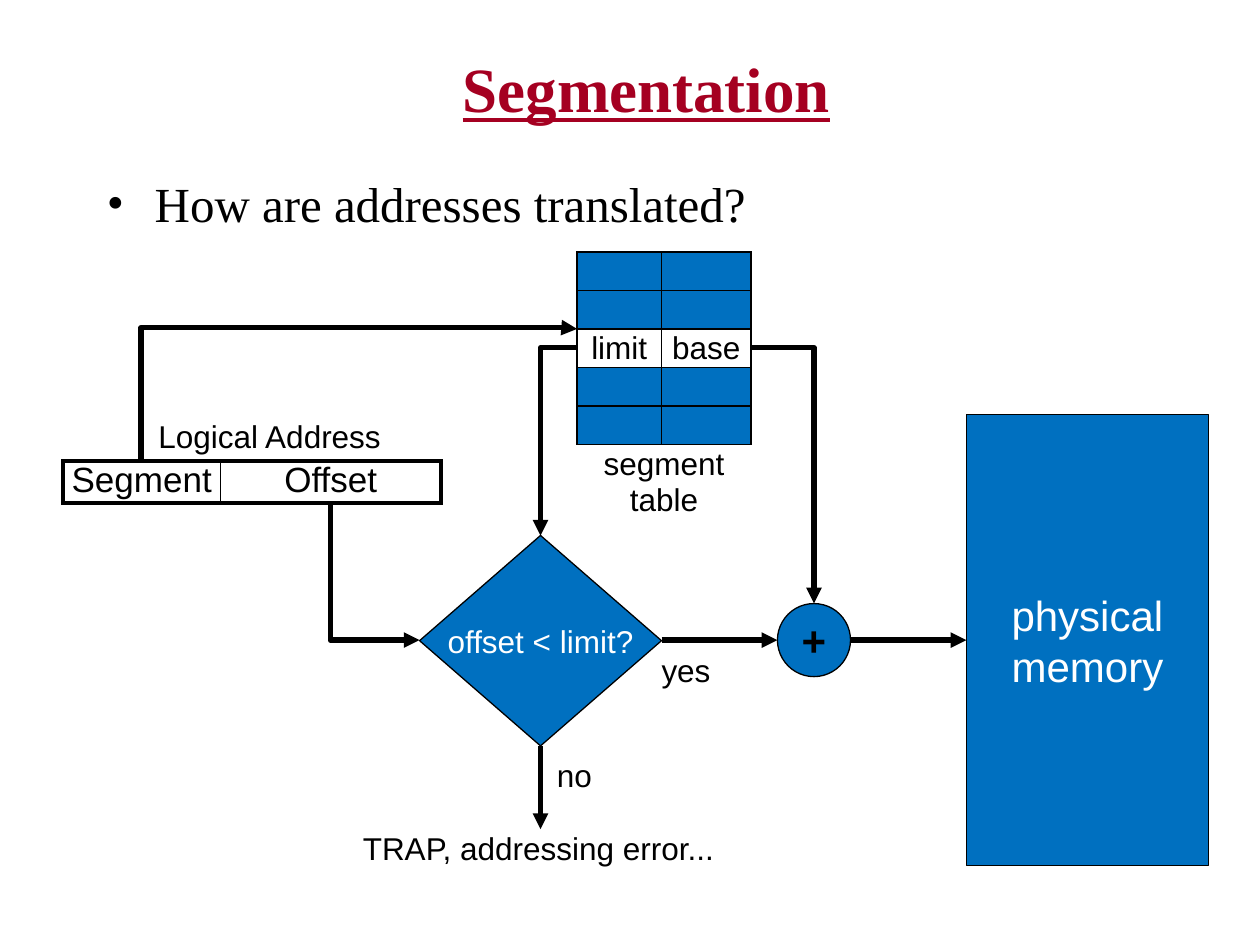
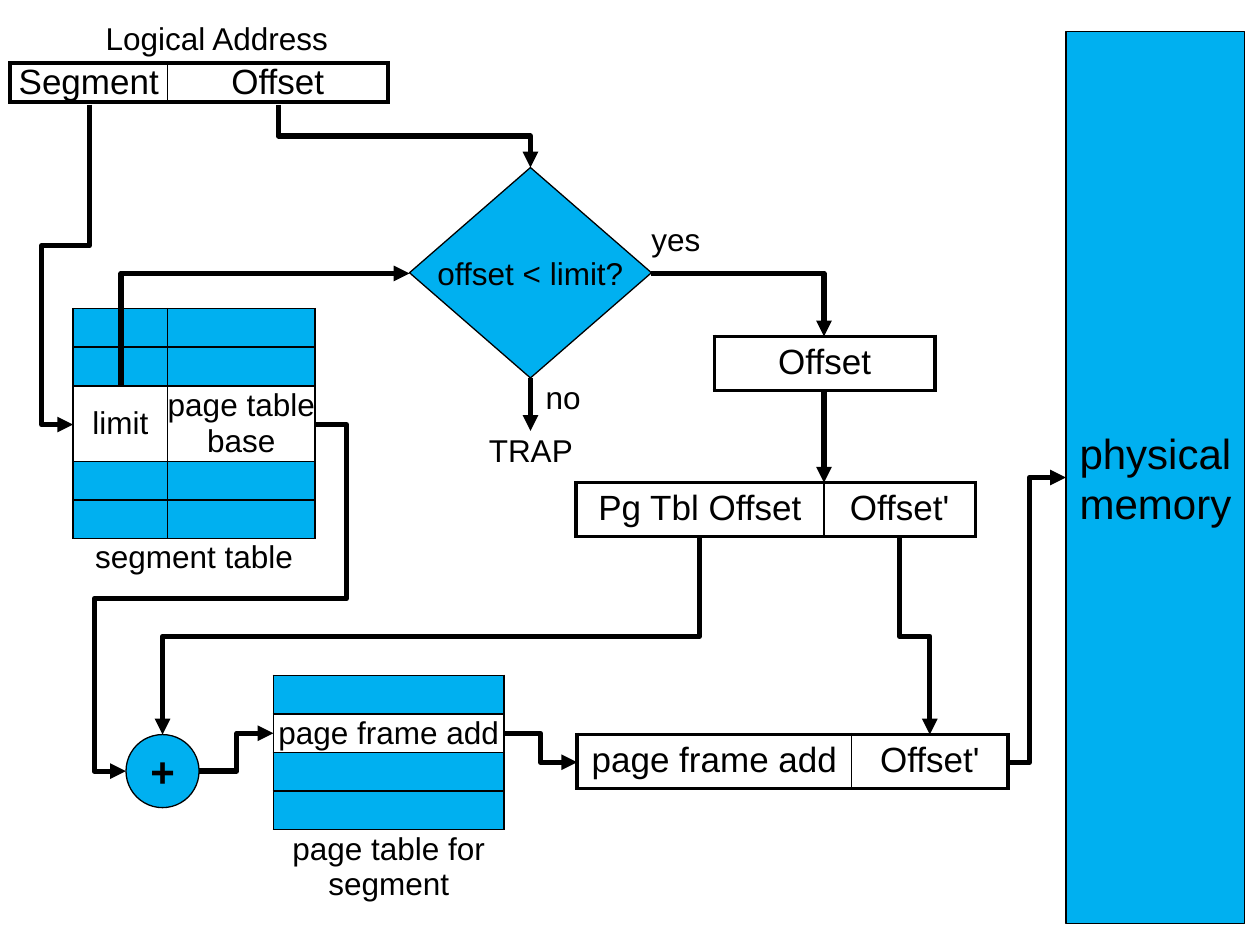
"""Two slides on address translation: segmentation, and segmentation with paging."""
from dataclasses import dataclass
from typing import Optional

from lxml import etree
from pptx import Presentation
from pptx.dml.color import RGBColor
from pptx.enum.shapes import MSO_CONNECTOR, MSO_SHAPE
from pptx.enum.text import MSO_ANCHOR, MSO_AUTO_SIZE, PP_ALIGN
from pptx.oxml.ns import qn
from pptx.util import Inches, Pt

CENTER, LEFT = PP_ALIGN.CENTER, PP_ALIGN.LEFT
MIDDLE, TOP = MSO_ANCHOR.MIDDLE, MSO_ANCHOR.TOP
STRAIGHT, ELBOW = MSO_CONNECTOR.STRAIGHT, MSO_CONNECTOR.ELBOW
DIAMOND, OVAL, RECTANGLE = MSO_SHAPE.DIAMOND, MSO_SHAPE.OVAL, MSO_SHAPE.RECTANGLE
TITLE_ONLY, BLANK = 5, 6
ROW_HEIGHT = 1.53 / 5  # five lookup rows share this height
Point = tuple[float, float]


@dataclass(frozen=True)
class Theme:
    heading_font: str = "Times New Roman"
    font: str = "Arial"
    title_color: str = "A50021"
    ink: str = "000000"
    white: str = "FFFFFF"
    deep_blue: str = "0070C0"
    sky_blue: str = "00B0F0"
    title_size: int = 36
    bullet_size: int = 28
    large_size: int = 24
    field_size: int = 20
    label_size: int = 18
    arrow_width: float = 3
    frame_width: float = 2.25
    grid_width: float = 1
    outline_width: float = 0.75


THEME = Theme()


@dataclass(frozen=True)
class Label:
    text: str
    left: float
    top: float
    width: float


@dataclass(frozen=True)
class Node:
    kind: int
    text: str
    left: float
    top: float
    width: float
    height: float
    size: int = THEME.label_size
    color: str = THEME.ink
    bold: bool = False


@dataclass(frozen=True)
class FieldStrip:
    """A heavy frame split into fields, with an optional heading or an open row below."""
    left: float
    top: float
    widths: tuple[float, ...]
    fields: tuple[str, ...]
    height: float = 0.43
    heading: Optional[str] = None
    open_row: bool = False


@dataclass(frozen=True)
class LookupTable:
    """A filled table with one open entry and a caption below."""
    left: float
    top: float
    widths: tuple[float, ...]
    row_count: int
    entry_row: int
    entry: tuple[str, ...]
    caption: str
    entry_height: float = ROW_HEIGHT
    caption_height: float = 0.6


# Text and cell formatting
def style_text(frame, size: int, color: str = THEME.ink, font: str = THEME.font,
               align: int = CENTER, bold: bool = False) -> None:
    for para in frame.paragraphs:
        para.alignment = align
        for span in para.runs:
            span.font.size, span.font.name, span.font.bold = Pt(size), font, bold
            span.font.color.rgb = RGBColor.from_string(color)


def clear_insets(frame) -> None:
    frame.margin_left = frame.margin_right = 0
    frame.margin_top = frame.margin_bottom = 0


def set_edges(cell, left: float = 0, right: float = 0, top: float = 0, bottom: float = 0) -> None:
    """Set border widths in points; zero means no border."""
    properties = cell._tc.get_or_add_tcPr()
    for index, (side, width) in enumerate(zip("LRTB", (left, right, top, bottom))):
        line = etree.Element(qn(f"a:ln{side}"), w=str(Pt(width)))
        if width:
            fill = etree.SubElement(line, qn("a:solidFill"))
            etree.SubElement(fill, qn("a:srgbClr"), val=THEME.ink)
        else:
            etree.SubElement(line, qn("a:noFill"))
        properties.insert(index, line)


def fill_cell(cell, text: str, size: int = THEME.label_size, color: Optional[str] = None,
              anchor: int = MIDDLE, inset: Point = (0, 0)) -> None:
    cell.margin_left = cell.margin_right = Inches(inset[0])
    cell.margin_top = cell.margin_bottom = Inches(inset[1])
    cell.vertical_anchor = anchor
    if text:
        cell.text_frame.text = text
        style_text(cell.text_frame, size)
    if color:
        cell.fill.solid()
        cell.fill.fore_color.rgb = RGBColor.from_string(color)
    else:
        cell.fill.background()


def add_plain_table(page, left: float, top: float, widths: tuple[float, ...],
                    heights: list[float]):
    table = page.shapes.add_table(len(heights), len(widths), Inches(left), Inches(top),
                                  Inches(sum(widths)), Inches(sum(heights))).table
    table.first_row = table.horz_banding = False
    for column, width in zip(table.columns, widths):
        column.width = Inches(width)
    for row, height in zip(table.rows, heights):
        row.height = Inches(height)
    return table


# Diagram parts
def draw_strip(page, strip: FieldStrip) -> None:
    heavy, thin = THEME.frame_width, THEME.grid_width
    heights = [0.33] * bool(strip.heading) + [strip.height] * (1 + strip.open_row)
    table = add_plain_table(page, strip.left, strip.top, strip.widths, heights)
    last = len(strip.widths) - 1
    field_row = 1 if strip.heading else 0
    if strip.heading or strip.open_row:
        extra_row = 1 - field_row
        table.cell(extra_row, 0).merge(table.cell(extra_row, last))
        for column in range(last + 1):
            cell = table.cell(extra_row, column)
            fill_cell(cell, "" if column else strip.heading or "", anchor=TOP)
            set_edges(cell, top=heavy * strip.open_row, bottom=heavy * field_row)
        if strip.heading:
            table.cell(0, 0).margin_left = Inches(0.28)
    for column, text in enumerate(strip.fields):
        cell = table.cell(field_row, column)
        fill_cell(cell, text, THEME.field_size, anchor=TOP,
                  inset=(0, 0) if strip.heading else (0.1, 0.05))
        set_edges(cell, left=thin if column else heavy,
                  right=thin if column < last else heavy, top=heavy, bottom=heavy)


def draw_lookup(page, lookup: LookupTable, color: str) -> None:
    thin = THEME.grid_width
    heights = [ROW_HEIGHT] * lookup.row_count + [lookup.caption_height]
    heights[lookup.entry_row] = lookup.entry_height
    table = add_plain_table(page, lookup.left, lookup.top, lookup.widths, heights)
    last = len(lookup.widths) - 1
    if last:
        table.cell(lookup.row_count, 0).merge(table.cell(lookup.row_count, last))
    for column in range(last + 1):
        for row in range(lookup.row_count):
            is_entry = row == lookup.entry_row
            cell = table.cell(row, column)
            fill_cell(cell, lookup.entry[column] if is_entry else "",
                      color=None if is_entry else color)
            set_edges(cell, thin, thin, thin, thin)
        cell = table.cell(lookup.row_count, column)
        fill_cell(cell, "" if column else lookup.caption)
        set_edges(cell, top=thin)


def draw_node(page, node: Node, fill: str) -> None:
    shape = page.shapes.add_shape(node.kind, Inches(node.left), Inches(node.top),
                                  Inches(node.width), Inches(node.height))
    shape.shadow.inherit = False
    shape.fill.solid()
    shape.fill.fore_color.rgb = RGBColor.from_string(fill)
    shape.line.color.rgb = RGBColor.from_string(THEME.ink)
    shape.line.width = Pt(THEME.outline_width)
    frame = shape.text_frame
    frame.text = node.text
    frame.word_wrap = False
    frame.vertical_anchor = MIDDLE
    if node.kind == OVAL:
        clear_insets(frame)
    style_text(frame, node.size, node.color, bold=node.bold)


def draw_label(page, label: Label) -> None:
    frame = page.shapes.add_textbox(Inches(label.left), Inches(label.top),
                                    Inches(label.width), Inches(0.3)).text_frame
    frame.text = label.text
    frame.word_wrap = False
    clear_insets(frame)
    style_text(frame, THEME.label_size, align=LEFT)


def bend(connector, points: list[Point]) -> None:
    """Turn an elbow connector so that it runs through all the points."""
    (x, y), (end_x, end_y) = points[0], points[-1]
    run, rise = end_x - x, end_y - y
    legs = len(points) - 1
    starts_upright = points[1][0] == x
    flip_h = flip_v = False
    if starts_upright:
        turn = 270 if run > 0 else 90
        flip_h = (rise > 0) == (run > 0)
    elif run < 0 and legs == 2:
        turn, flip_v = 180, rise > 0
    else:
        turn, flip_h, flip_v = 0, run < 0, rise < 0
    width, height = (abs(rise), abs(run)) if starts_upright else (abs(run), abs(rise))
    connector.left = Inches((x + end_x - width) / 2)
    connector.top = Inches((y + end_y - height) / 2)
    connector.width, connector.height = Inches(width), Inches(height)
    properties = connector.element.find(qn("p:spPr"))
    frame = properties.find(qn("a:xfrm"))
    for name, flipped in (("flipH", flip_h), ("flipV", flip_v)):
        frame.set(name, str(int(flipped)))
    frame.set("rot", str(turn * 60000))
    geometry = properties.find(qn("a:prstGeom"))
    geometry.set("prst", f"bentConnector{legs}")
    guides = geometry.get_or_add_avLst()
    for number, (via_x, via_y) in enumerate(points[1:-2], start=1):
        along_y = starts_upright == (number % 2 == 1)
        share = (via_y - y) / rise if along_y else (via_x - x) / run
        etree.SubElement(guides, qn("a:gd"), name=f"adj{number}",
                         fmla=f"val {round(share * 100000)}")


def draw_arrow(page, points: list[Point]) -> None:
    ends = [Inches(value) for point in (points[0], points[-1]) for value in point]
    connector = page.shapes.add_connector(STRAIGHT if len(points) == 2 else ELBOW, *ends)
    if len(points) > 2:
        bend(connector, points)
    connector.line.color.rgb = RGBColor.from_string(THEME.ink)
    connector.line.width = Pt(THEME.arrow_width)
    properties = connector.element.find(qn("p:spPr"))
    etree.SubElement(properties.find(qn("a:ln")), qn("a:tailEnd"), type="triangle")
    etree.SubElement(properties, qn("a:effectLst"))


def draw_diagram(page, color: str, *groups: list) -> None:
    strips, lookups, nodes, labels, arrows = groups
    for strip in strips:
        draw_strip(page, strip)
    for lookup in lookups:
        draw_lookup(page, lookup, color)
    for node in nodes:
        draw_node(page, node, color)
    for label in labels:
        draw_label(page, label)
    for points in arrows:
        draw_arrow(page, points)


def address_strip(left: float, top: float) -> FieldStrip:
    return FieldStrip(left, top, (1.25, 1.75), ("Segment", "Offset"), 0.23, "Logical Address")


def shared_nodes(test: Point, adder: Point, memory: tuple[float, ...], color: str) -> list[Node]:
    return [Node(DIAMOND, "offset < limit?", *test, 1.92, 1.67, color=color),
            Node(OVAL, "+", *adder, 0.58, 0.58, THEME.large_size, bold=True),
            Node(RECTANGLE, "physical\nmemory", *memory, THEME.large_size, color)]


# Slide 1: segmentation
def build_segmentation(deck) -> None:
    page = deck.slides.add_slide(deck.slide_layouts[TITLE_ONLY])
    title = page.shapes.title
    title.left, title.top, title.width, title.height = map(Inches, (0.88, 0.07, 8.5, 1.25))
    title.text_frame.text = "Segmentation"
    title.text_frame.vertical_anchor = MIDDLE
    title.text_frame.auto_size = MSO_AUTO_SIZE.NONE
    style_text(title.text_frame, THEME.title_size, THEME.title_color, THEME.heading_font, bold=True)
    title.text_frame.paragraphs[0].runs[0].font.underline = True

    frame = page.shapes.add_textbox(*map(Inches, (0.75, 1.33, 8.5, 4.5))).text_frame
    frame.word_wrap = True
    frame.text = "How are addresses translated?"
    style_text(frame, THEME.bullet_size, font=THEME.heading_font, align=LEFT)
    properties = frame.paragraphs[0]._p.get_or_add_pPr()
    properties.set("marL", str(Inches(0.38)))
    properties.set("indent", str(-Inches(0.38)))
    etree.SubElement(properties, qn("a:buFont"), typeface=THEME.heading_font)
    etree.SubElement(properties, qn("a:buChar"), char="•")

    draw_diagram(
        page, THEME.deep_blue,
        [address_strip(0.5, 3.33)],
        [LookupTable(4.58, 2, (0.67, 0.71), 5, 2, ("limit", "base"), "segment table")],
        shared_nodes((3.33, 4.25), (6.17, 4.79), (7.67, 3.29, 1.92, 3.58), THEME.white),
        [Label("TRAP, addressing error...", 2.88, 6.58, 2.83),
         Label("no", 4.42, 6, 0.28), Label("yes", 5.25, 5.17, 0.39)],
        [[(2.62, 4), (2.62, 5.08), (3.33, 5.08)],
         [(1.12, 3.67), (1.12, 2.6), (4.58, 2.6), (4.58, 2.61)],
         [(4.58, 2.76), (4.29, 2.76), (4.29, 4.25)],
         [(5.97, 2.76), (6.46, 2.76), (6.46, 4.79)],
         [(4.29, 5.92), (4.29, 6.58)], [(5.25, 5.08), (6.17, 5.08)],
         [(6.75, 5.08), (7.67, 5.08)]])


# Slide 2: segmentation with paging
def build_paged_segmentation(deck) -> None:
    page = deck.slides.add_slide(deck.slide_layouts[BLANK])
    draw_diagram(
        page, THEME.sky_blue,
        [address_strip(0.08, 0.17), FieldStrip(5.67, 2.67, (1.75,), ("Offset",)),
         FieldStrip(4.57, 3.83, (1.97, 1.2), ("Pg Tbl Offset", "Offset'")),
         FieldStrip(4.58, 5.83, (2.18, 1.24), ("page frame add", "Offset'"), open_row=True)],
        [LookupTable(0.58, 2.45, (0.75, 1.17), 5, 2, ("limit", "page table base"),
                     "segment table", entry_height=0.6, caption_height=ROW_HEIGHT),
         LookupTable(2.17, 5.36, (1.83,), 4, 1, ("page frame add",), "page table for segment")],
        shared_nodes((3.25, 1.33), (1, 5.83), (8.46, 0.25, 1.42, 7.08), THEME.ink),
        [Label("TRAP", 3.88, 3.42, 0.67), Label("no", 4.33, 3, 0.28),
         Label("yes", 5.17, 1.75, 0.39)],
        [[(2.21, 0.83), (2.21, 1.08), (4.21, 1.08), (4.21, 1.33)], [(4.21, 3), (4.21, 3.42)],
         [(2.5, 3.37), (2.75, 3.37), (2.75, 4.75), (0.75, 4.75), (0.75, 6.12), (1, 6.12)],
         [(0.96, 3.07), (0.96, 2.17), (3.25, 2.17)],
         [(0.71, 0.83), (0.71, 1.95), (0.33, 1.95), (0.33, 3.37), (0.58, 3.37)],
         [(5.17, 2.17), (6.54, 2.17), (6.54, 2.67)], [(6.54, 3.1), (6.54, 3.83)],
         [(5.55, 4.27), (5.55, 5.05), (1.29, 5.05), (1.29, 5.83)],
         [(1.58, 6.12), (1.88, 6.12), (1.88, 5.82), (2.17, 5.82)],
         [(7.14, 4.27), (7.14, 5.05), (7.38, 5.05), (7.38, 5.83)],
         [(4, 5.82), (4.29, 5.82), (4.29, 6.05), (4.58, 6.05)],
         [(8, 6.05), (8.17, 6.05), (8.17, 3.79), (8.46, 3.79)]])


deck = Presentation()
deck.slide_width, deck.slide_height = Inches(10), Inches(7.5)
build_segmentation(deck)
build_paged_segmentation(deck)
deck.save("out.pptx")
